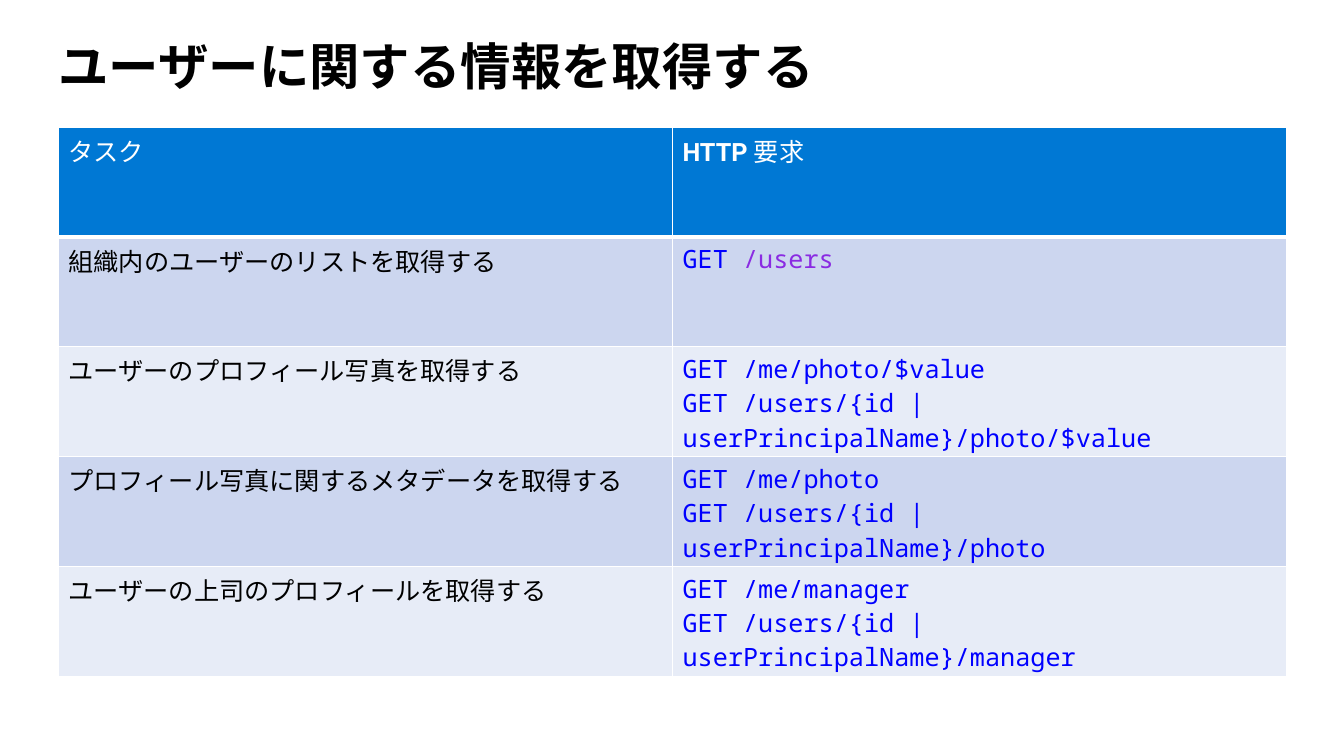
from pptx import Presentation
from pptx.dml.color import RGBColor
from pptx.oxml.ns import qn
from pptx.util import Emu, Pt
from lxml.etree import SubElement

THEME = {
    "heading": "000000", "header_text": "FFFFFF", "task": "000000",
    "request": "0000FF", "users_path": "8A2BE2", "border": "FFFFFF",
    "header_fill": "0078D4", "band_fills": ("CCD6EF", "E7ECF7"),
    "title_size": 36, "table_size": 18,
    "cjk_font": "Noto Sans CJK JP", "body_font": "Roboto",
    "code_font": "Noto Sans Mono",
}
PX = 9144  # 100 px to the inch


def add_text(paragraph, text, size, font, color, bold=False):
    run = paragraph.add_run()
    run.text = text
    run.font.size = Pt(size)
    run.font.name = font
    run.font.bold = bold
    run.font.color.rgb = RGBColor.from_string(color)
    SubElement(run.font._element, qn("a:ea"), typeface=THEME["cjk_font"])


def add_borders(cell, bottom):
    properties = cell._tc.get_or_add_tcPr()
    for side, width in (("L", 1), ("R", 1), ("T", 1), ("B", bottom)):
        line = SubElement(properties, qn(f"a:ln{side}"), w=str(Pt(width)))
        fill = SubElement(line, qn("a:solidFill"))
        SubElement(fill, qn("a:srgbClr"), val=THEME["border"])


prs = Presentation()
prs.slide_width, prs.slide_height = Emu(1333 * PX), Emu(750 * PX)
slide = prs.slides.add_slide(prs.slide_layouts[6])

# Title
title = slide.shapes.add_textbox(58 * PX, 42 * PX, 1150 * PX, 61 * PX).text_frame
title.word_wrap = True
title.margin_left = title.margin_right = title.margin_top = title.margin_bottom = 0
title.paragraphs[0].line_spacing = 0.9
add_text(title.paragraphs[0], "ユーザーに関する情報を取得する", THEME["title_size"],
         THEME["cjk_font"], THEME["heading"], True)

# Each task with the lines of its request, each line a list of (text, color)
tasks = [("組織内のユーザーのリストを取得する",
          [[("GET ", THEME["request"]), ("/users", THEME["users_path"])]])]
for task, resource in (
    ("ユーザーのプロフィール写真を取得する", "photo/$value"),
    ("プロフィール写真に関するメタデータを取得する", "photo"),
    ("ユーザーの上司のプロフィールを取得する", "manager"),
):
    owners = ("me", "users/{id | userPrincipalName}")
    tasks.append((task, [[(f"GET /{owner}/{resource}", THEME["request"])]
                         for owner in owners]))

# Table frame
table = slide.shapes.add_table(len(tasks) + 1, 2, 58 * PX, 126 * PX,
                               1218 * PX, 545 * PX).table
for column in table.columns:
    column.width = Emu(609 * PX)
for index, row in enumerate(table.rows):
    row.height = Emu(109 * PX)
    for cell in row.cells:
        add_borders(cell, 1 if index else 3)
        cell.fill.solid()
        color = THEME["band_fills"][(index - 1) % 2] if index else THEME["header_fill"]
        cell.fill.fore_color.rgb = RGBColor.from_string(color)

# Header row
for column, pieces in enumerate(([("タスク", False)],
                                 [("HTTP ", True), ("要求", False)])):
    heading = table.cell(0, column).text_frame.paragraphs[0]
    for text, bold in pieces:
        add_text(heading, text, THEME["table_size"], THEME["body_font"],
                 THEME["header_text"], bold)

# Task rows
for index, (task, requests) in enumerate(tasks, 1):
    add_text(table.cell(index, 0).text_frame.paragraphs[0], task,
             THEME["table_size"], THEME["body_font"], THEME["task"])
    request_frame = table.cell(index, 1).text_frame
    for number, pieces in enumerate(requests):
        request = request_frame.add_paragraph() if number else request_frame.paragraphs[0]
        for text, color in pieces:
            add_text(request, text, THEME["table_size"], THEME["code_font"], color)

prs.save("out.pptx")
